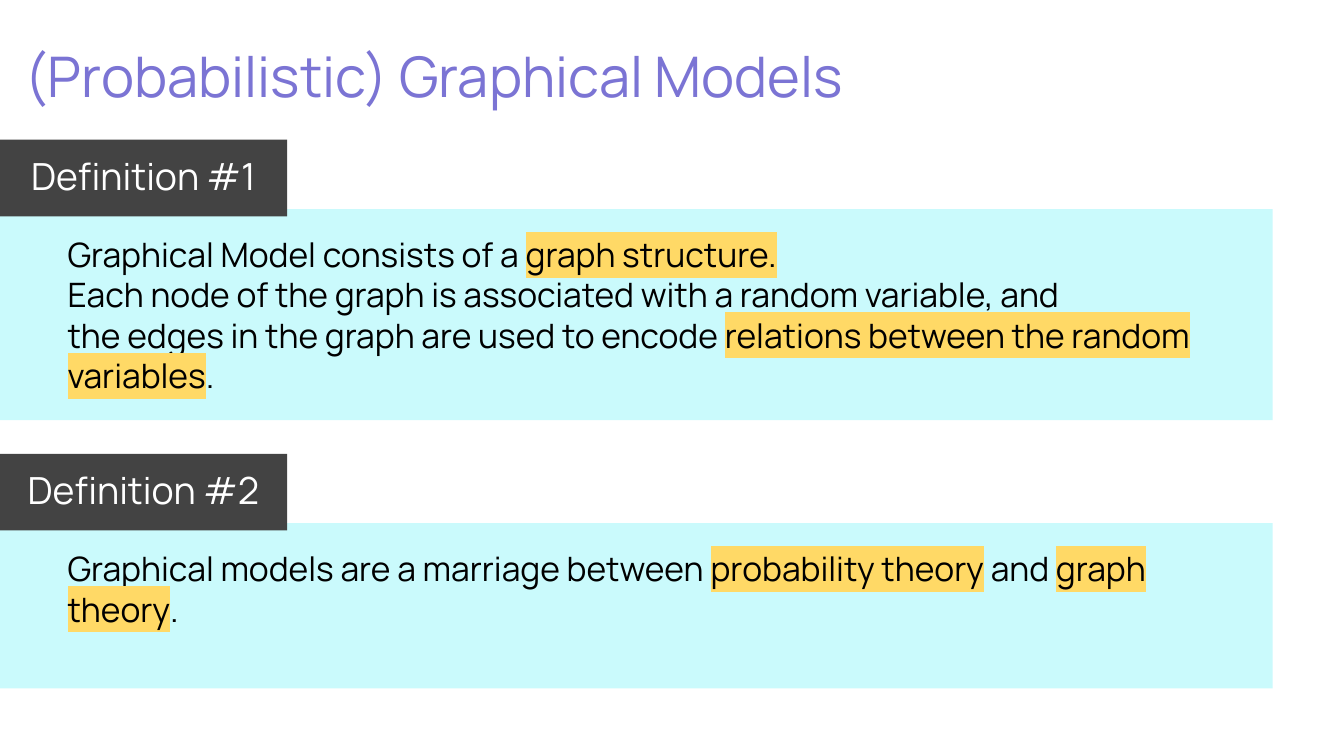
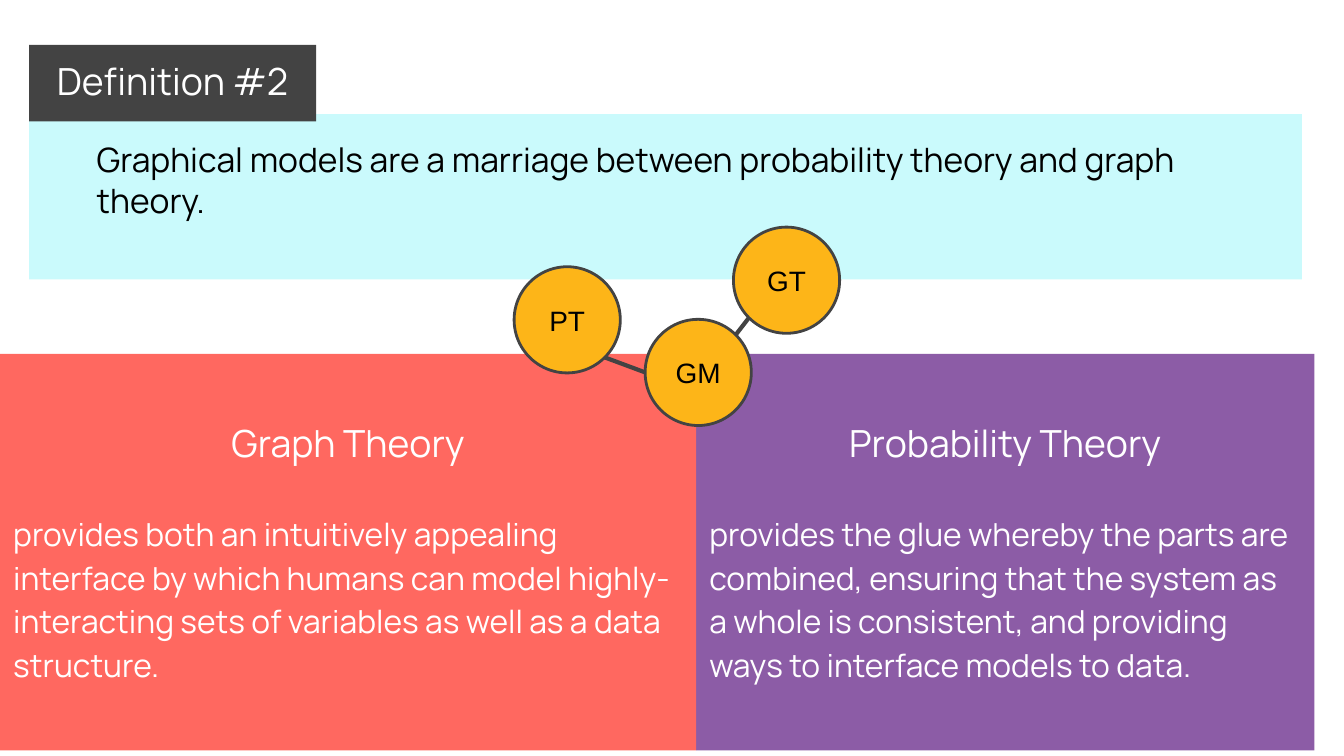
from dataclasses import dataclass
from math import cos, radians, sin

from lxml.etree import SubElement
from pptx import Presentation
from pptx.dml.color import RGBColor
from pptx.enum.shapes import MSO_CONNECTOR, MSO_SHAPE
from pptx.enum.text import MSO_ANCHOR, PP_ALIGN
from pptx.oxml import parse_xml
from pptx.oxml.ns import qn
from pptx.util import Inches, Pt

# Widescreen slide with a square grid: lengths below are columns and rows
SLIDE_WIDTH = Inches(10)
SLIDE_HEIGHT = SLIDE_WIDTH * 9 // 16
COLUMNS = 100
ROWS = COLUMNS * 9 / 16

COLORS = {
    "title": "7B74D4", "tag": "434343", "band": "CAFAFC", "highlight": "FFD966",
    "graph": "FF6860", "probability": "8C5CA6", "node": "FDB518",
    "light": "FFFFFF", "dark": "000000",
}
HEADING_FONT, NODE_FONT = "Manrope", "Arial"
NAMESPACE = "http://schemas.openxmlformats.org/drawingml/2006/main"


@dataclass(frozen=True)
class Box:
    left: float
    top: float
    width: float
    height: float


@dataclass(frozen=True)
class Definition:
    """Paragraphs hold plain and highlighted runs in turn, split by a bar."""
    number: int
    left: float
    top: float
    band_height: float
    paragraphs: tuple[str, ...]


@dataclass(frozen=True)
class Panel:
    heading: str
    body: str
    color: str
    left: float
    width: float


@dataclass(frozen=True)
class Node:
    label: str
    left: float
    top: float

    def edge_point(self, angle: float) -> tuple[float, float]:
        """Point of the rim, clockwise from the right, in degrees."""
        radius = NODE_SIZE / 2
        return (self.left + radius + radius * cos(radians(angle)),
                self.top + radius + radius * sin(radians(angle)))


def across(columns: float) -> int:
    return round(SLIDE_WIDTH * columns / COLUMNS)


def down(rows: float) -> int:
    return round(SLIDE_HEIGHT * rows / ROWS)


def rgb(name: str) -> RGBColor:
    return RGBColor.from_string(COLORS[name])


# Shared drawing functions
def place(box: Box) -> tuple[int, int, int, int]:
    return across(box.left), down(box.top), across(box.width), down(box.height)


def add_block(slide, box: Box, fill: str, kind=MSO_SHAPE.RECTANGLE, outline: str = ""):
    shape = slide.shapes.add_shape(kind, *place(box))
    shape.shadow.inherit = False
    shape.fill.solid()
    shape.fill.fore_color.rgb = rgb(fill)
    if outline:
        shape.line.color.rgb = rgb(outline)
        shape.line.width = Pt(1.5)
    else:
        shape.line.fill.background()
    return shape


def highlight(run) -> None:
    mark = parse_xml(f'<a:highlight xmlns:a="{NAMESPACE}">'
                     f'<a:srgbClr val="{COLORS["highlight"]}"/></a:highlight>')
    run.font.fill._xPr.find(qn("a:solidFill")).addnext(mark)


def write(shape, text: str, *, size: float, color: str, font: str = HEADING_FONT,
          align=PP_ALIGN.LEFT, anchor=MSO_ANCHOR.TOP, margin_left: float = 1,
          line_spacing: float | None = None, space_before: float | None = None,
          append: bool = False) -> None:
    frame = shape.text_frame
    frame.word_wrap = True
    frame.vertical_anchor = anchor
    frame.margin_left = across(margin_left)
    frame.margin_right = across(1)
    frame.margin_top = frame.margin_bottom = down(1)
    paragraph = frame.add_paragraph() if append else frame.paragraphs[0]
    paragraph.alignment = align
    if line_spacing:
        paragraph.line_spacing = line_spacing
    if space_before:
        paragraph.space_before = Pt(space_before)
    for index, part in enumerate(text.split("|")):
        run = paragraph.add_run()
        run.text = part
        run.font.size = Pt(size)
        run.font.name = font
        run.font.color.rgb = rgb(color)
        if index % 2:
            highlight(run)


def add_definition(slide, definition: Definition) -> None:
    left, top = definition.left, definition.top
    add_block(slide, Box(left, top + 5.16, 94.7, definition.band_height), "band")
    tag = add_block(slide, Box(left, top, 21.36, 5.7), "tag")
    write(tag, f"Definition #{definition.number}", size=20, color="light",
          align=PP_ALIGN.CENTER)
    note = slide.shapes.add_textbox(
        *place(Box(left + 4.04, top + 6.02, 89.9, definition.band_height - 2.7)))
    for index, text in enumerate(definition.paragraphs):
        write(note, text, size=18, color="dark", append=index > 0)


def add_panel(slide, panel: Panel) -> None:
    shape = add_block(slide, Box(panel.left, 26.33, panel.width, 29.5), panel.color)
    write(shape, panel.heading, size=20, color="light", align=PP_ALIGN.CENTER,
          anchor=MSO_ANCHOR.MIDDLE)
    write(shape, panel.body, size=17, color="light", anchor=MSO_ANCHOR.MIDDLE,
          line_spacing=1.15, space_before=23.5, append=True)


def add_node(slide, node: Node) -> None:
    circle = add_block(slide, Box(node.left, node.top, NODE_SIZE, NODE_SIZE), "node",
                       kind=MSO_SHAPE.OVAL, outline="tag")
    write(circle, node.label, size=15, color="dark", font=NODE_FONT,
          align=PP_ALIGN.CENTER, anchor=MSO_ANCHOR.MIDDLE)


def add_edge(slide, start: tuple[float, float], end: tuple[float, float]) -> None:
    connector = slide.shapes.add_connector(
        MSO_CONNECTOR.STRAIGHT, across(start[0]), down(start[1]),
        across(end[0]), down(end[1]))
    connector.line.color.rgb = rgb("tag")
    connector.line.width = Pt(2.25)
    SubElement(connector._element.spPr, qn("a:effectLst"))


# Content
NODE_SIZE = 7.9
PROBABILITY_NODE = Node("PT", 38.25, 19.85)
MODEL_NODE = Node("GM", 48, 23.76)
GRAPH_NODE = Node("GT", 54.57, 16.9)

MARRIAGE = ("Graphical models are a marriage between "
            "|probability theory| and |graph theory|.")
DEFINITIONS = (
    Definition(1, 0, 10.4, 15.7, (
        "Graphical Model consists of a |graph structure.",
        "Each node of the graph is associated with a random variable, and",
        "the edges in the graph are used to encode "
        "|relations between the random variables|.",
    )),
    Definition(2, 0, 33.77, 12.3, (MARRIAGE,)),
)
RECALLED_DEFINITION = Definition(2, 2.17, 3.34, 12.3, (MARRIAGE.replace("|", ""),))
PANELS = (
    Panel("Probability Theory",
          "provides the glue whereby the parts are combined, ensuring that the system "
          "as a whole is consistent, and providing ways to interface models to data.",
          "probability", 51.8, 46),
    Panel("Graph Theory",
          "provides both an intuitively appealing interface by which humans can model "
          "highly-interacting sets of variables as well as a data structure.",
          "graph", 0, 51.8),
)


def build_definitions(slide) -> None:
    title = slide.shapes.add_textbox(*place(Box(0, 0, 100, 11.14)))
    write(title, "(Probabilistic) Graphical Models", size=30, color="title",
          anchor=MSO_ANCHOR.MIDDLE, margin_left=1.8)
    for definition in DEFINITIONS:
        add_definition(slide, definition)


def build_marriage(slide) -> None:
    add_definition(slide, RECALLED_DEFINITION)
    for panel in PANELS:
        add_panel(slide, panel)
    for node in (PROBABILITY_NODE, MODEL_NODE, GRAPH_NODE):
        add_node(slide, node)
    add_edge(slide, PROBABILITY_NODE.edge_point(45), MODEL_NODE.edge_point(180))
    add_edge(slide, MODEL_NODE.edge_point(-45), GRAPH_NODE.edge_point(135))


def main() -> None:
    presentation = Presentation()
    presentation.slide_width, presentation.slide_height = SLIDE_WIDTH, SLIDE_HEIGHT
    for build in (build_definitions, build_marriage):
        build(presentation.slides.add_slide(presentation.slide_layouts[6]))
    presentation.save("out.pptx")


if __name__ == "__main__":
    main()
